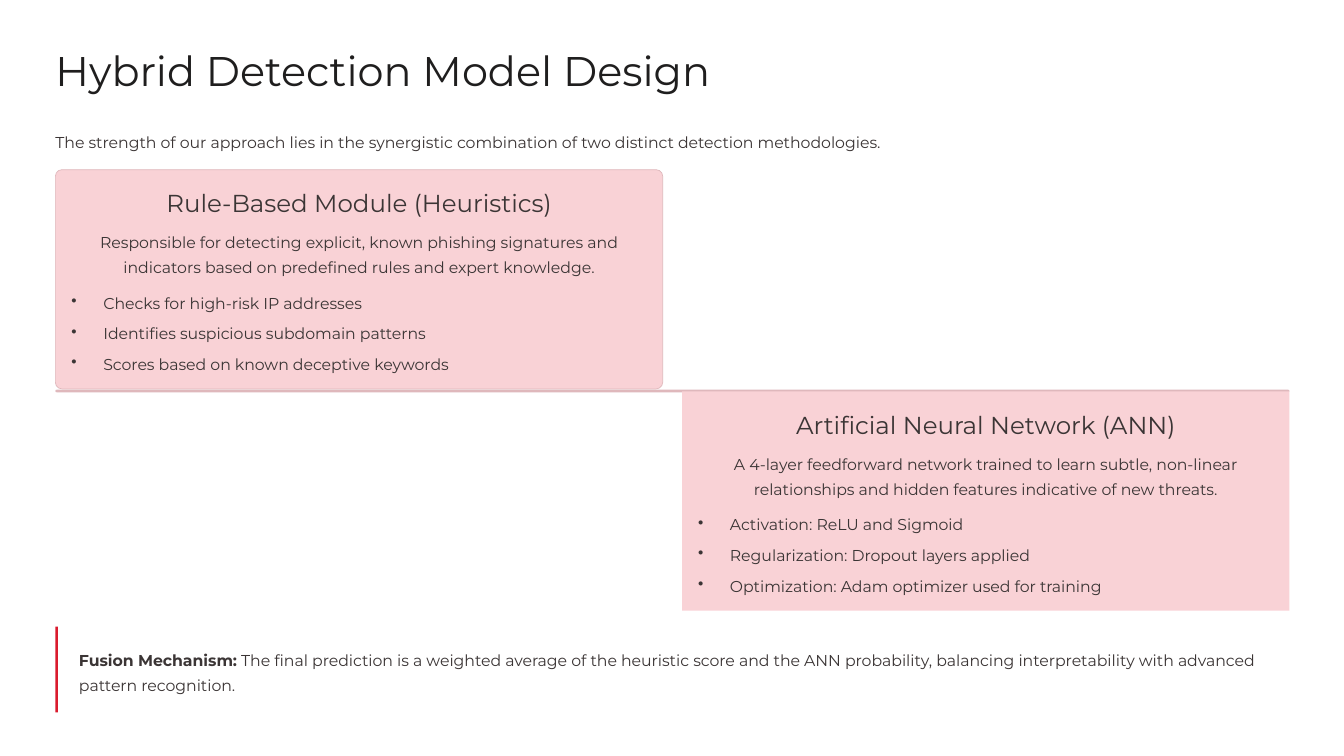
from lxml import etree
from pptx import Presentation
from pptx import util as u
from pptx.dml.color import RGBColor
from pptx.enum import shapes, text
from pptx.oxml import ns

# Content
TITLE = "Hybrid Detection Model Design"
INTRO = ("The strength of our approach lies in the synergistic combination "
         "of two distinct detection methodologies.")
CARDS = [
    ("Rule-Based Module (Heuristics)",
     "Responsible for detecting explicit, known phishing signatures and "
     "indicators based on predefined rules and expert knowledge.",
     ["Checks for high-risk IP addresses",
      "Identifies suspicious subdomain patterns",
      "Scores based on known deceptive keywords"]),
    ("Artificial Neural Network (ANN)",
     "A 4-layer feedforward network trained to learn subtle, non-linear "
     "relationships and hidden features indicative of new threats.",
     ["Activation: ReLU and Sigmoid",
      "Regularization: Dropout layers applied",
      "Optimization: Adam optimizer used for training"]),
]
FUSION = [("Fusion Mechanism:", True),
          (" The final prediction is a weighted average of the heuristic score "
           "and the ANN probability, balancing interpretability with advanced "
           "pattern recognition.", False)]

# Style
FACE = "Montserrat"
DARK = RGBColor(0x1F, 0x1E, 0x1E)
BODY = RGBColor(0x3B, 0x35, 0x35)
PINK = RGBColor(0xF9, 0xD2, 0xD6)
ROSE = RGBColor(0xDF, 0xB8, 0xBC)
RED = RGBColor(0xDA, 0x1B, 0x2E)
LARGE, MEDIUM, SMALL = (35.5, 44), (21, 26.5), (13.5, 21.5)  # size, line pitch

# Grid, in inches
WIDE, HIGH = 16, 9
EDGE = 0.66
SPAN = WIDE - 2 * EDGE + 0.01
CARD_W, CARD_H = 7.23, 2.61
TOP = 2.02
PAD = 0.19
THIN = 0.03
STEP_X, STEP_Y = SPAN - CARD_W, CARD_H + THIN
INDENT = 0.38

deck = Presentation()
deck.slide_width, deck.slide_height = u.Inches(WIDE), u.Inches(HIGH)
slide = deck.slides.add_slide(deck.slide_layouts[6])


def block(kind, x, y, w, h, fill, line=None):
    shape = slide.shapes.add_shape(kind, *map(u.Inches, (x, y, w, h)))
    shape.shadow.inherit = False
    shape.fill.solid()
    shape.fill.fore_color.rgb = fill
    if line:
        shape.line.color.rgb = line
        shape.line.width = u.Pt(0.6)
    else:
        shape.line.fill.background()
    return shape


def write(x, y, w, h, lines, style=SMALL, color=BODY, center=False, bullet=False):
    """Each line is a list of (words, bold) runs."""
    frame = slide.shapes.add_textbox(*map(u.Inches, (x, y, w, h))).text_frame
    frame.word_wrap = True
    frame.margin_left = frame.margin_right = 0
    frame.margin_top = frame.margin_bottom = 0
    for i, runs in enumerate(lines):
        para = frame.add_paragraph() if i else frame.paragraphs[0]
        if bullet:
            props = para._p.get_or_add_pPr()
            props.set("marL", str(u.Inches(INDENT)))
            props.set("indent", str(-u.Inches(INDENT)))
            etree.SubElement(props, ns.qn("a:buChar")).set("char", "•")
        if i:
            para.space_before = u.Pt(4.8)
        para.line_spacing = u.Pt(style[1])
        if center:
            para.alignment = text.PP_ALIGN.CENTER
        para.font.name = FACE
        para.font.size = u.Pt(style[0])
        para.font.color.rgb = color
        for words, bold in runs:
            run = para.add_run()
            run.text = words
            if bold:
                run.font.bold = True


def plain(*lines):
    return [[(line, False)] for line in lines]


# Heading and intro
write(EDGE, 0.52, SPAN, 0.62, plain(TITLE), LARGE, DARK)
write(EDGE, 1.51, SPAN, 0.3, plain(INTRO))

# Dividing rule
rule = block(shapes.MSO_SHAPE.ROUNDED_RECTANGLE, EDGE, TOP + CARD_H + 0.01,
             SPAN, THIN, ROSE)
rule.adjustments[0] = 0.5

# Cards, stepping down to the right
for i, (head, about, points) in enumerate(CARDS):
    x, y = EDGE + i * STEP_X, TOP + i * STEP_Y
    if i:
        block(shapes.MSO_SHAPE.RECTANGLE, x, y, CARD_W, CARD_H, PINK)
    else:
        card = block(shapes.MSO_SHAPE.ROUNDED_RECTANGLE, x, y, CARD_W, CARD_H,
                     PINK, ROSE)
        card.adjustments[0] = 0.03
    inner = CARD_W - 2 * PAD
    write(x + PAD, y + 0.2, inner, 0.37, plain(head), MEDIUM, center=True)
    write(x + PAD, y + 0.68, inner, 0.6, plain(about), center=True)
    write(x + PAD, y + 1.4, inner, 1.03, plain(*points), bullet=True)

# Fusion note with accent bar
write(EDGE + 0.28, 7.67, SPAN - 0.28, 0.6, [FUSION])
block(shapes.MSO_SHAPE.RECTANGLE, EDGE, 7.46, THIN, 1.02, RED)

deck.save("out.pptx")
